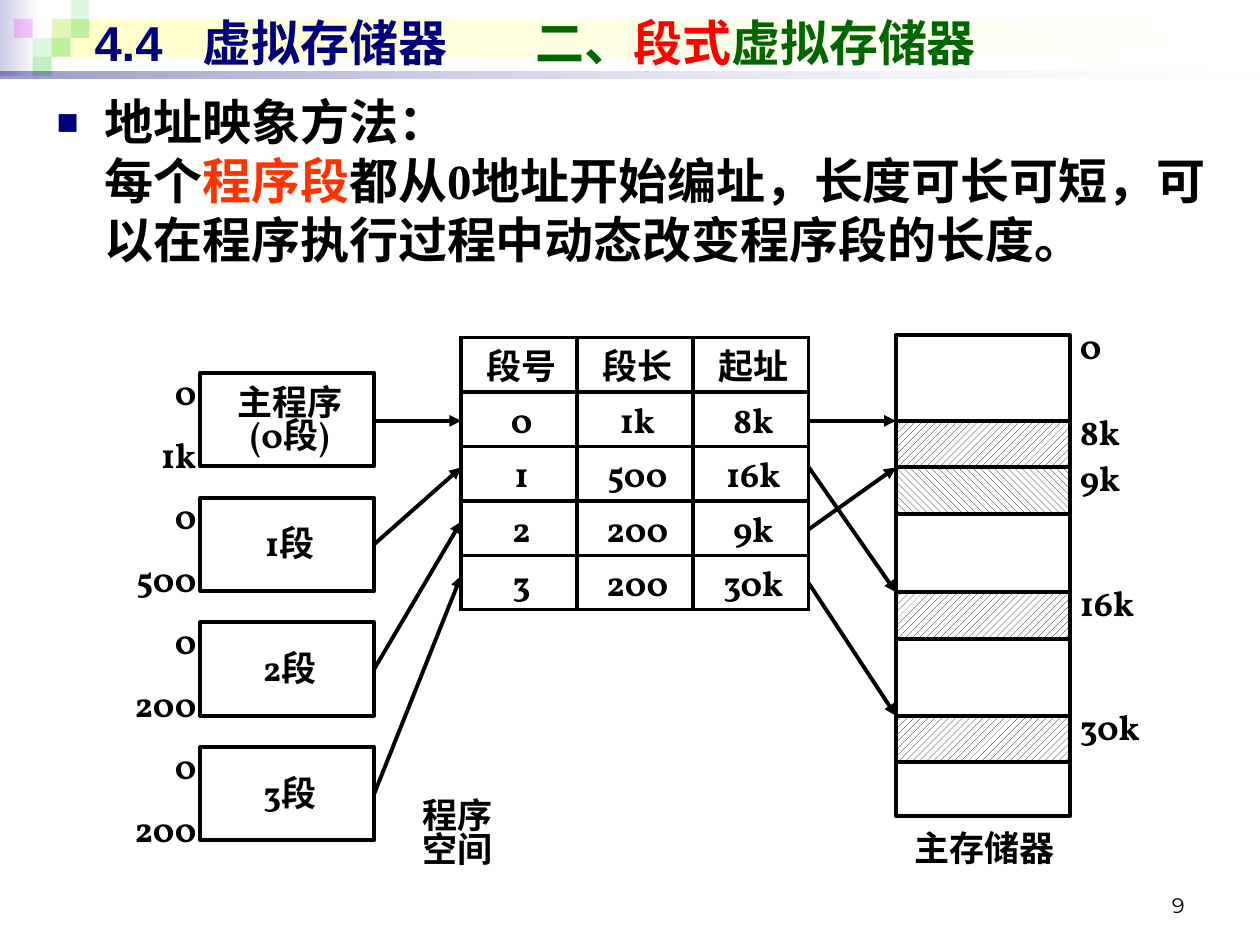
from dataclasses import dataclass

from lxml.etree import SubElement
from pptx import Presentation
from pptx.dml.color import RGBColor
from pptx.enum.dml import MSO_PATTERN
from pptx.enum.shapes import MSO_CONNECTOR, MSO_SHAPE
from pptx.enum.text import MSO_ANCHOR, MSO_AUTO_SIZE, PP_ALIGN
from pptx.oxml.ns import qn
from pptx.util import Inches, Pt


@dataclass(frozen=True)
class Theme:
    black: str = "000000"
    white: str = "FFFFFF"
    navy: str = "00007D"
    green: str = "006600"
    red: str = "FF0000"
    orange: str = "FF3300"
    lavender: str = "CCCCE6"
    cream: str = "FFFFCC"
    tile_green: str = "33CC33"
    tile_pink: str = "FF00FF"
    heading_font: str = "Arial"
    body_font: str = "Times New Roman"
    diagram_font: str = "Vollkorn"
    number_font: str = "Montserrat"
    heading_size: int = 28
    diagram_size: int = 20
    number_size: int = 12
    line_width: float = 2.25


THEME = Theme()
INSETS = (0.08, 0.04, 0.04, 0)
UP, DOWN = MSO_PATTERN.WIDE_UPWARD_DIAGONAL, MSO_PATTERN.WIDE_DOWNWARD_DIAGONAL


def rgb(color):
    return RGBColor.from_string(color)


def add_run(paragraph, text, font, size, color=THEME.black, bold=True):
    for index, line in enumerate(text.split("\n")):
        if index:
            paragraph.add_line_break()
        run = paragraph.add_run()
        run.text = line
        run.font.name, run.font.size, run.font.bold = font, Pt(size), bold
        run.font.color.rgb = rgb(color)


def set_label(paragraph, text, align):
    paragraph.alignment = align
    paragraph.line_spacing = 0.8
    add_run(paragraph, text, THEME.diagram_font, THEME.diagram_size)


def set_insets(target):
    (target.margin_left, target.margin_top,
     target.margin_right, target.margin_bottom) = map(Inches, INSETS)
    target.vertical_anchor = MSO_ANCHOR.MIDDLE


def label_frame(shape, text, align):
    frame = shape.text_frame
    set_insets(frame)
    frame.word_wrap = False
    set_label(frame.paragraphs[0], text, align)


def add_label(slide, box, text, align):
    label_frame(slide.shapes.add_textbox(*map(Inches, box)), text, align)


def add_rectangle(slide, box):
    shape = slide.shapes.add_shape(MSO_SHAPE.RECTANGLE, *map(Inches, box))
    shape.shadow.inherit = False
    return shape


def add_outlined(slide, box, pattern=None):
    shape = add_rectangle(slide, box)
    if pattern:
        shape.fill.patterned()
        shape.fill.pattern = pattern
        shape.fill.fore_color.rgb = rgb(THEME.black)
        shape.fill.back_color.rgb = rgb(THEME.white)
    else:
        shape.fill.background()
    shape.line.color.rgb = rgb(THEME.black)
    shape.line.width = Pt(THEME.line_width)
    return shape


def set_alpha(shape, percents):
    colors = shape.fill._xPr.iter(qn("a:srgbClr"))
    for color, percent in zip(colors, percents):
        SubElement(color, qn("a:alpha")).set("val", str(percent * 1000))


def add_band(slide, box, start, end, alphas=()):
    band = add_rectangle(slide, box)
    band.line.fill.background()
    band.fill.gradient()
    band.fill.gradient_angle = 0
    for stop, color, position in zip(band.fill.gradient_stops, (start, end), (0, 1)):
        stop.color.rgb = rgb(color)
        stop.position = position
    set_alpha(band, alphas)


def add_decoration(slide):
    add_band(slide, (0, 0, 0.31, 0.6), THEME.lavender, THEME.white)
    add_band(slide, (0.41, 0.15, 9.55, 0.3), THEME.cream, THEME.white)
    # Tiles as column, row, colour, opacity
    side = 0.15
    tiles = [(2, 1, THEME.tile_green, 15), (3, 0, THEME.tile_green, 15),
             (3, 1, THEME.tile_green, 30), (1, 2, THEME.tile_green, 15),
             (0, 1, THEME.tile_pink, 20), (2, 2, THEME.tile_green, 30),
             (1, 3, THEME.tile_green, 30)]
    for column, row, color, opacity in tiles:
        tile = add_rectangle(slide, (0.11 + column * side, row * side, side, side))
        tile.line.fill.background()
        tile.fill.solid()
        tile.fill.fore_color.rgb = rgb(color)
        set_alpha(tile, [opacity])
    add_band(slide, (0, 0.57, 10, 0.05), THEME.navy, THEME.white, (40, 10))


def place_placeholder(shape, box, anchor):
    shape.left, shape.top, shape.width, shape.height = map(Inches, box)
    frame = shape.text_frame
    frame.auto_size = MSO_AUTO_SIZE.NONE
    frame.word_wrap = True
    frame.vertical_anchor = anchor
    paragraph = frame.paragraphs[0]
    paragraph.alignment = PP_ALIGN.LEFT
    return paragraph


def fill_title(slide, box):
    paragraph = place_placeholder(slide.shapes.title, box, MSO_ANCHOR.MIDDLE)
    stops = SubElement(paragraph._p.get_or_add_pPr(), qn("a:tabLst"))
    for position in (0.86, 3.5):
        stop = SubElement(stops, qn("a:tab"))
        stop.set("pos", str(Inches(position)))
        stop.set("algn", "l")
    for text, color in [("4.4\t虚拟存储器\t", THEME.navy), ("二、", THEME.green),
                        ("段式", THEME.red), ("虚拟存储器", THEME.green)]:
        add_run(paragraph, text, THEME.heading_font, THEME.heading_size, color)


def fill_body(slide, box):
    paragraph = place_placeholder(slide.placeholders[1], box, MSO_ANCHOR.TOP)
    properties = paragraph._p.get_or_add_pPr()
    properties.set("marL", str(Inches(0.38)))
    properties.set("indent", str(-Inches(0.38)))
    bullet_color = SubElement(properties, qn("a:buClr"))
    SubElement(bullet_color, qn("a:srgbClr")).set("val", THEME.navy)
    SubElement(properties, qn("a:buSzPct")).set("val", "75000")
    SubElement(properties, qn("a:buChar")).set("char", "■")
    for text, color in [
            ("地址映象方法：\n每个", THEME.black), ("程序段", THEME.orange),
            ("都从0地址开始编址，长度可长可短，可以在程序执行过程中动态改变程序段的长度。", THEME.black)]:
        add_run(paragraph, text, THEME.body_font, THEME.heading_size, color)


def add_program_space(slide, left, top):
    segments = [("主程序\n(0段)", "1k"), ("1段", "500"), ("2段", "200"), ("3段", "200")]
    for index, (name, end) in enumerate(segments):
        y = top + index * 0.99
        segment = add_outlined(slide, (left, y, 1.38, 0.74))
        label_frame(segment, name, PP_ALIGN.CENTER)
        for offset, address in [(-0.06, "0"), (0.44, end)]:
            add_label(slide, (left - 0.76, y + offset, 0.77, 0.43), address, PP_ALIGN.RIGHT)
    add_label(slide, (left + 1.53, top + 3.28, 0.99, 0.74), "程序\n空间", PP_ALIGN.CENTER)


def set_borders(cell):
    properties = cell._tc.get_or_add_tcPr()
    for side in ("lnL", "lnR", "lnT", "lnB"):
        border = SubElement(properties, qn(f"a:{side}"))
        border.set("w", str(Pt(THEME.line_width)))
        fill = SubElement(border, qn("a:solidFill"))
        SubElement(fill, qn("a:srgbClr")).set("val", THEME.black)


def add_segment_table(slide, left, top):
    rows = [("段号", "段长", "起址"), ("0", "1k", "8k"), ("1", "500", "16k"),
            ("2", "200", "9k"), ("3", "200", "30k")]
    box = map(Inches, (left, top, 2.76, 2.16))
    table = slide.shapes.add_table(len(rows), len(rows[0]), *box).table
    table.first_row = table.horz_banding = False
    for row, texts in zip(table.rows, rows):
        for cell, text in zip(row.cells, texts):
            set_insets(cell)
            set_borders(cell)
            cell.fill.background()
            set_label(cell.text_frame.paragraphs[0], text, PP_ALIGN.CENTER)


def add_main_memory(slide, left, top):
    blocks = [(0.68, "0", None), (0.37, "8k", UP), (0.37, "9k", DOWN), (0.62, "", None),
              (0.37, "16k", UP), (0.61, "", None), (0.37, "30k", UP), (0.43, "", None)]
    y = top
    for height, address, pattern in blocks:
        add_outlined(slide, (left, y, 1.38, height), pattern)
        if address:
            add_label(slide, (left + 1.38, y - 0.09, 0.77, 0.37), address, PP_ALIGN.LEFT)
        y += height
    add_label(slide, (left - 0.16, y + 0.07, 1.69, 0.37), "主存储器", PP_ALIGN.CENTER)


def add_arrows(slide, left, right, heights):
    for start, end in heights:
        arrow = slide.shapes.add_connector(
            MSO_CONNECTOR.STRAIGHT, *map(Inches, (left, start, right, end)))
        arrow.line.color.rgb = rgb(THEME.black)
        arrow.line.width = Pt(THEME.line_width)
        SubElement(arrow.line._get_or_add_ln(), qn("a:tailEnd")).set("type", "triangle")
        SubElement(arrow._element.spPr, qn("a:effectLst"))


def add_slide_number(slide, box):
    frame = slide.shapes.add_textbox(*map(Inches, box)).text_frame
    frame.word_wrap = True
    frame.vertical_anchor = MSO_ANCHOR.BOTTOM
    paragraph = frame.paragraphs[0]
    paragraph.alignment = PP_ALIGN.RIGHT
    add_run(paragraph, "9", THEME.number_font, THEME.number_size, bold=False)


def main():
    presentation = Presentation()
    presentation.slide_width, presentation.slide_height = Inches(10), Inches(7.5)
    slide = presentation.slides.add_slide(presentation.slide_layouts[1])
    # Heading and list
    fill_title(slide, (0.65, 0.05, 9, 0.57))
    fill_body(slide, (0.35, 0.68, 9.45, 6.61))
    # Header strip, moved behind the placeholders
    placeholders = [shape._element for shape in slide.placeholders]
    add_decoration(slide)
    for element in placeholders:
        slide.shapes._spTree.append(element)
    add_slide_number(slide, (7.17, 6.83, 2.33, 0.5))
    # Address mapping diagram
    add_program_space(slide, 1.59, 2.96)
    add_segment_table(slide, 3.66, 2.68)
    add_main_memory(slide, 7.11, 2.66)
    add_arrows(slide, 2.97, 3.66, [(3.34, 3.34), (4.32, 3.71), (5.31, 4.14), (6.3, 4.57)])
    add_arrows(slide, 6.42, 7.11, [(3.34, 3.34), (3.71, 4.7), (4.2, 3.71), (4.63, 5.68)])
    presentation.save("out.pptx")


main()
